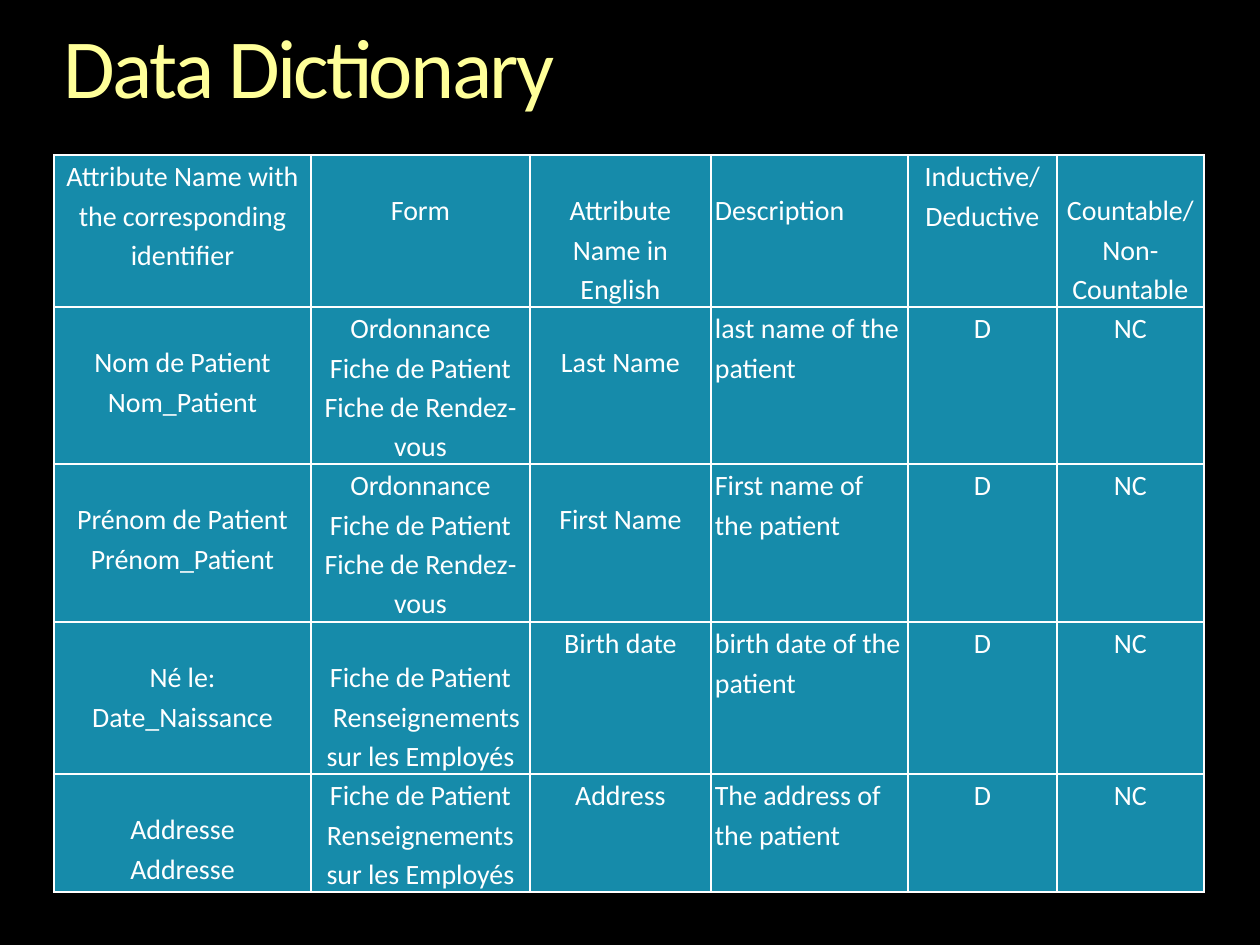
"""Build the data dictionary slide: a title above a table of attributes."""
import dataclasses

import pptx
import pptx.dml.color
import pptx.enum.text
import pptx.oxml
import pptx.oxml.ns
import pptx.util

PX = 914400 // 126
ALIGN = pptx.enum.text.PP_ALIGN


@dataclasses.dataclass(frozen=True)
class Theme:
    """Colours, font and type sizes of the slide."""

    background: str = "000000"
    heading: str = "FFFF99"
    body: str = "FFFFFF"
    cell: str = "168BAA"
    border: str = "FFFFFF"
    font: str = "Calibri"
    heading_size: int = 48
    body_size: int = 16


THEME = Theme()
COLUMN_WIDTHS = (257, 219, 181, 197, 149, 147)
ROW_HEIGHTS = (152, 157, 158, 152, 118)
DESCRIPTION_COLUMN = 3
LOWERED_TOP = 34
HANGING_ENTRY = (3, 1)

# Each row pairs the columns whose text starts one line lower with its entries.
ROWS = (
    ({1, 2, 3, 5}, ("Attribute Name with the corresponding identifier", "Form",
                    "Attribute Name in English", "Description",
                    "Inductive/\vDeductive", "Countable/\vNon-Countable")),
    ({0, 2}, ("Nom de Patient\nNom_Patient",
              "Ordonnance\nFiche de Patient\nFiche de Rendez-vous",
              "Last Name", "last name of the patient", "D", "NC")),
    ({0, 2}, ("Prénom de Patient\nPrénom_Patient",
              "Ordonnance\nFiche de Patient\nFiche de Rendez-vous",
              "First Name", "First name of the patient", "D", "NC")),
    ({0, 1}, ("Né le:\nDate_Naissance",
              "Fiche de Patient\nRenseignements sur les Employés",
              "Birth date", "birth date of the patient", "D", "NC")),
    ({0}, ("Addresse\nAddresse",
           "Fiche de Patient\nRenseignements sur les Employés",
           "Address", "The address of the patient", "D", "NC")),
)


def px(length):
    """Turn a length in px into EMU."""
    return pptx.util.Emu(length * PX)


def rgb(value):
    """Turn a hex string into a colour."""
    return pptx.dml.color.RGBColor.from_string(value)


def apply_format(target, values):
    """Set each attribute of the target from a dict of values."""
    for attribute, value in values.items():
        setattr(target, attribute, value)


def style_paragraph(paragraph, size, color, **layout):
    """Give a paragraph its layout, and its text the font, size and colour."""
    apply_format(paragraph, layout)
    for font in (paragraph.font, *(run.font for run in paragraph.runs)):
        apply_format(font, {"name": THEME.font, "size": pptx.util.Pt(size)})
        font.fill.solid()
        font.fill.fore_color.rgb = rgb(color)


def add_heading(slide, text):
    """Add the slide heading with tightened letter spacing."""
    heading = slide.shapes.add_textbox(px(64), px(26), px(1134), px(158))
    frame = heading.text_frame
    apply_format(frame, {"word_wrap": True, "margin_left": 0, "margin_right": 0,
                         "margin_top": 0, "margin_bottom": 0})
    paragraph = frame.paragraphs[0]
    paragraph.text = text
    style_paragraph(paragraph, THEME.heading_size, THEME.heading, line_spacing=0.9)
    paragraph.runs[0].font._element.set("spc", "-150")


def add_borders(cell):
    """Draw a thin line on all four sides of a cell."""
    properties = cell._tc.get_or_add_tcPr()
    for position, side in enumerate(("lnL", "lnR", "lnT", "lnB")):
        properties.insert(position, pptx.oxml.parse_xml(
            f'<a:{side} {pptx.oxml.ns.nsdecls("a")} w="12700"><a:solidFill>'
            f'<a:srgbClr val="{THEME.border}"/></a:solidFill></a:{side}>'))


def fill_cell(cell, entry, column, lowered):
    """Write an entry into a cell and give the cell its look."""
    apply_format(cell, {"margin_left": px(4), "margin_right": px(4),
                        "margin_top": px(LOWERED_TOP if lowered else 0),
                        "margin_bottom": 0})
    cell.fill.solid()
    cell.fill.fore_color.rgb = rgb(THEME.cell)
    add_borders(cell)
    alignment = ALIGN.LEFT if column == DESCRIPTION_COLUMN else ALIGN.CENTER
    cell.text_frame.text = entry
    for paragraph in cell.text_frame.paragraphs:
        style_paragraph(paragraph, THEME.body_size, THEME.body,
                        alignment=alignment, line_spacing=1.15)


def add_dictionary(slide):
    """Add the table of attributes."""
    table = slide.shapes.add_table(
        len(ROWS), len(COLUMN_WIDTHS), px(54), px(155),
        px(sum(COLUMN_WIDTHS)), px(sum(ROW_HEIGHTS))).table
    apply_format(table, {"first_row": False, "horz_banding": False})
    for column, width in zip(table.columns, COLUMN_WIDTHS):
        column.width = px(width)
    for row, height in zip(table.rows, ROW_HEIGHTS):
        row.height = px(height)
    for row, (lowered, entries) in enumerate(ROWS):
        for column, entry in enumerate(entries):
            fill_cell(table.cell(row, column), entry, column, column in lowered)
    hanging = table.cell(*HANGING_ENTRY).text_frame.paragraphs[-1]
    hanging._p.get_or_add_pPr().set("indent", str(px(12)))


def main():
    """Build the slide and save it."""
    presentation = pptx.Presentation()
    apply_format(presentation, {"slide_width": px(1260), "slide_height": px(945)})
    slide = presentation.slides.add_slide(presentation.slide_layouts[6])
    slide.background.fill.solid()
    slide.background.fill.fore_color.rgb = rgb(THEME.background)
    add_heading(slide, "Data Dictionary")
    add_dictionary(slide)
    presentation.save("out.pptx")


if __name__ == "__main__":
    main()
